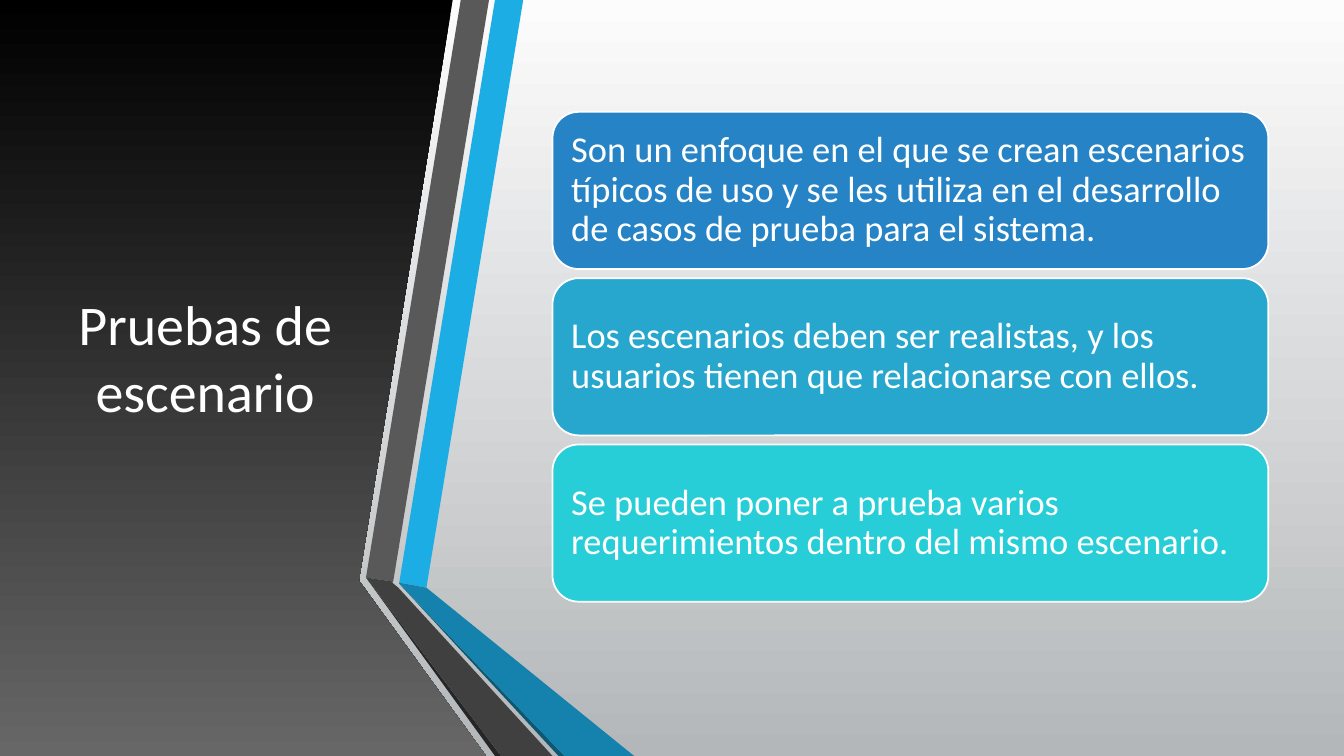
from dataclasses import dataclass

from pptx import Presentation
from pptx import util as u
from pptx.dml.color import RGBColor
from pptx.enum import shapes, text

COLUMNS, ROWS = 1333, 750
CELL = u.Inches(0.01)


@dataclass(frozen=True)
class Theme:
    font: str = "Calibri"
    title_size: int = 40
    card_size: int = 26
    white: str = "FFFFFF"
    backdrop: tuple = ("FCFCFC", "B4B7B9")
    panel: tuple = ("000000", "676767")
    blue: str = "1CADE4"
    blue_fold: str = "1482AC"
    blue_shade: str = "0E5772"
    grey: str = "595959"
    grey_fold: str = "404040"
    grey_shade: str = "262626"
    cards: tuple = ("2683C6", "27A7CE", "27CED7")


class SlideBuilder:
    def __init__(self, page, theme):
        self.page = page
        self.theme = theme

    def paint(self, fill, colour):
        if isinstance(colour, str):
            fill.solid()
            fill.fore_color.rgb = RGBColor.from_string(colour)
            return
        fill.gradient()
        fill.gradient_angle = 270
        for stop, shade in zip(fill.gradient_stops, colour):
            stop.color.rgb = RGBColor.from_string(shade)

    def set_words(self, shape, words, size, align):
        frame = shape.text_frame
        frame.text = words
        frame.word_wrap = True
        frame.auto_size = text.MSO_AUTO_SIZE.NONE
        frame.vertical_anchor = text.MSO_ANCHOR.MIDDLE
        para = frame.paragraphs[0]
        para.alignment = align
        para.font.name = self.theme.font
        para.font.size = u.Pt(size)
        para.font.color.rgb = RGBColor.from_string(self.theme.white)
        return frame, para

    def block(self, kind, column, row, width, height, colour):
        shape = self.page.shapes.add_shape(
            kind, column * CELL, row * CELL, width * CELL, height * CELL)
        shape.shadow.inherit = False
        shape.line.fill.background()
        self.paint(shape.fill, colour)
        return shape

    def backdrop(self):
        self.paint(self.page.background.fill, self.theme.backdrop)
        self.block(shapes.MSO_SHAPE.RECTANGLE, 0, 0, COLUMNS, ROWS, self.theme.backdrop)

    def outline(self, points, colour):
        builder = self.page.shapes.build_freeform(*points[0], scale=CELL)
        builder.add_line_segments(points[1:], close=True)
        shape = builder.convert_to_shape()
        shape.shadow.inherit = False
        shape.line.fill.background()
        self.paint(shape.fill, colour)

    def title(self, words, column, row, width, height):
        title = self.page.shapes.title
        title.left, title.top = column * CELL, row * CELL
        title.width, title.height = width * CELL, height * CELL
        self.set_words(title, words, self.theme.title_size, text.PP_ALIGN.CENTER)
        self.page.shapes.element.append(title.element)

    def card(self, words, column, row, width, height, colour):
        card = self.block(shapes.MSO_SHAPE.ROUNDED_RECTANGLE,
                          column, row, width, height, colour)
        self.paint(card.line.fill, self.theme.white)
        card.line.width = u.Pt(1.25)
        frame, para = self.set_words(card, words, self.theme.card_size, text.PP_ALIGN.LEFT)
        frame.margin_left = frame.margin_right = 11 * CELL
        frame.margin_top = frame.margin_bottom = 11 * CELL
        para.line_spacing = 0.9


def main():
    theme = Theme()
    deck = Presentation()
    deck.slide_width, deck.slide_height = COLUMNS * CELL, ROWS * CELL
    page = deck.slides.add_slide(deck.slide_layouts.get_by_name("Title Only"))
    builder = SlideBuilder(page, theme)

    builder.backdrop()
    builder.outline([(0, 0), (449, 0), (356, 576), (482, ROWS), (0, ROWS)], theme.panel)
    builder.title("Pruebas de escenario", 59, 75, 289, 558)

    ribbons = [
        (theme.blue, [(396, 578), (423, 583), (519, 0), (491, 0)]),
        (theme.grey, [(485, 0), (457, 0), (363, 573), (390, 577)]),
        (theme.grey_shade, [(363, 573), (491, ROWS), (497, ROWS)]),
        (theme.blue_shade, [(396, 579), (554, ROWS), (560, ROWS)]),
        (theme.blue_fold, [(396, 579), (560, ROWS), (629, ROWS), (423, 583), (396, 578)]),
        (theme.grey_fold, [(548, ROWS), (395, 583), (389, 578), (390, 577),
                           (363, 573), (497, ROWS)]),
    ]
    for colour, points in ribbons:
        builder.outline(points, colour)

    messages = [
        "Son un enfoque en el que se crean escenarios típicos de uso y se les utiliza "
        "en el desarrollo de casos de prueba para el sistema.",
        "Los escenarios deben ser realistas, y los usuarios tienen que relacionarse con ellos.",
        "Se pueden poner a prueba varios requerimientos dentro del mismo escenario.",
    ]
    for index, (words, colour) in enumerate(zip(messages, theme.cards)):
        builder.card(words, 548, 111 + index * 165, 710, 156, colour)

    deck.save("out.pptx")


if __name__ == "__main__":
    main()
